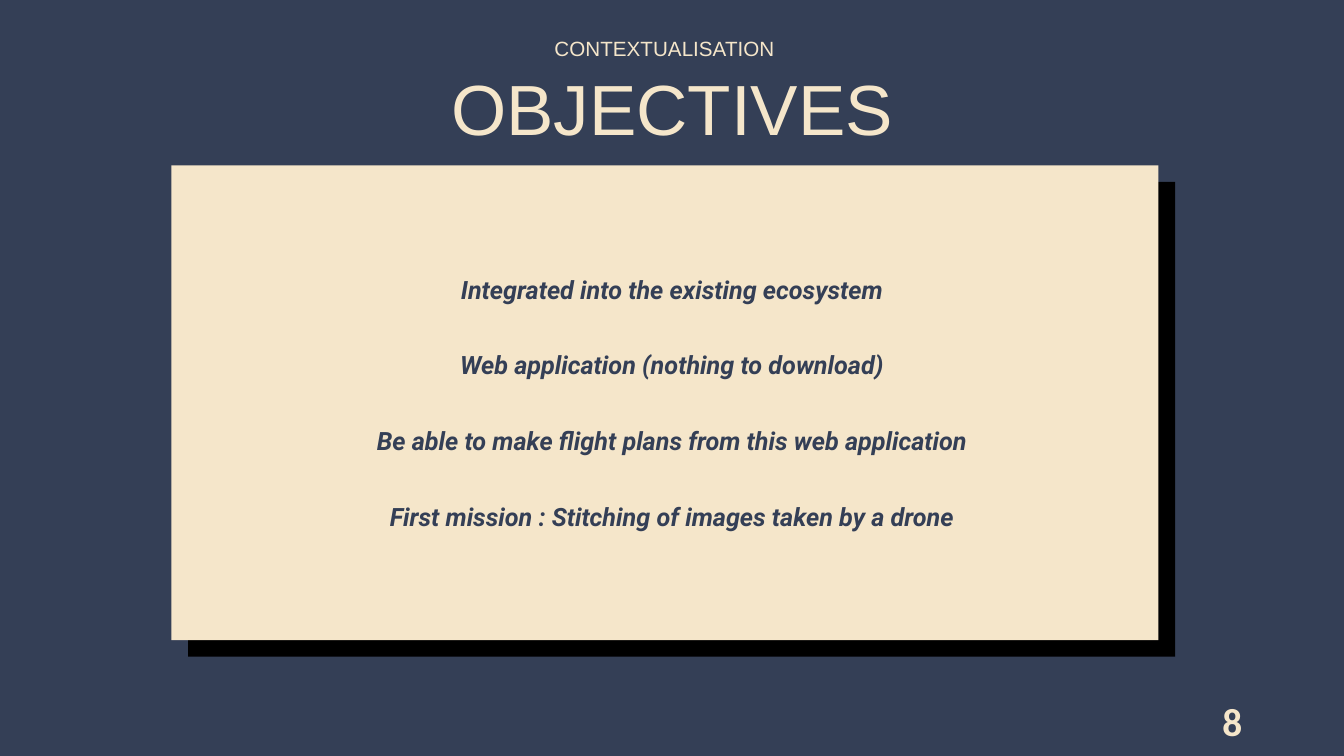
from pptx import Presentation
from pptx import util as u
from pptx.dml.color import RGBColor
from pptx.enum import shapes, text
from lxml import etree

# Theme: colours, fonts and type sizes
THEME = {
    "navy": RGBColor.from_string("343F56"),
    "cream": RGBColor.from_string("F5E6CA"),
    "black": RGBColor.from_string("000000"),
    "head": "Arial", "list": "Roboto", "number": "Calibri",
    "title": 50.7, "section": 14.7, "body": 18, "page": 28,
}
OBJECTIVES = [
    "Integrated into the existing ecosystem",
    "Web application (nothing to download)",
    "Be able to make flight plans from this web application",
    "First mission : Stitching of images taken by a drone",
]

prs = Presentation()
prs.slide_width, prs.slide_height = u.Inches(13.33), u.Inches(7.5)


def box(left, top, width, height):
    """Turn percentages of the slide's size into lengths."""
    w, h = prs.slide_width / 100, prs.slide_height / 100
    return int(left * w), int(top * h), int(width * w), int(height * h)


def write(sp, lines, font, size, color, align, spacing, inset=0, anchor="TOP"):
    """Fill a shape with paragraphs that share one format."""
    tf = sp.text_frame
    tf.word_wrap = True
    tf.auto_size = text.MSO_AUTO_SIZE.NONE
    tf.vertical_anchor = text.MSO_ANCHOR[anchor]
    tf.margin_left = tf.margin_right = u.Inches(inset)
    tf.margin_top = tf.margin_bottom = u.Inches(inset / 2)
    tf.text = "\n".join(lines)
    for p in tf.paragraphs:
        p.alignment = align
        p.line_spacing = spacing
        p.space_before = u.Pt(0)
        p.font.name, p.font.size = font, u.Pt(size)
        p.font.color.rgb = color


s = prs.slides.add_slide(prs.slide_layouts[1])
s.background.fill.solid()
s.background.fill.fore_color.rgb = THEME["navy"]
title, body = s.placeholders
CENTER, RIGHT = text.PP_ALIGN.CENTER, text.PP_ALIGN.RIGHT

# Title and section name
title.left, title.top, title.width, title.height = box(15.15, 6.67, 69.77, 11.2)
write(title, ["OBJECTIVES"], THEME["head"], THEME["title"], THEME["cream"],
      CENTER, u.Pt(70.9))
section = s.shapes.add_textbox(*box(37.66, 4.27, 23.56, 3.33))
write(section, ["CONTEXTUALISATION"], THEME["head"], THEME["section"],
      THEME["cream"], CENTER, u.Pt(20.5))

# Panel over its hard shadow
for dx, dy, color in ((1.24, 2.2, "black"), (0, 0, "cream")):
    panel = s.shapes.add_shape(shapes.MSO_SHAPE.RECTANGLE,
                               *box(12.75 + dx, 21.87 + dy, 73.44, 62.8))
    panel.shadow.inherit = False
    panel.fill.solid()
    panel.fill.fore_color.rgb = THEME[color]
    panel.line.fill.background()

# Objectives, brought in front of the panel
body.left, body.top, body.width, body.height = box(16.28, 29.6, 67.44, 45.73)
body.element.getparent().append(body.element)
write(body, OBJECTIVES, THEME["list"], THEME["body"], THEME["navy"],
      CENTER, 2.5, inset=0.1)
for p in body.text_frame.paragraphs:
    p.font.bold = p.font.italic = True
    pPr = p._p.get_or_add_pPr()
    pPr.set("marL", "0")
    pPr.set("indent", "0")
    no_bullet = etree.Element(
        "{http://schemas.openxmlformats.org/drawingml/2006/main}buNone")
    pPr.find("{*}defRPr").addprevious(no_bullet)

# Page number
number = s.shapes.add_textbox(*box(70.67, 92.67, 22.5, 5.33))
write(number, ["8"], THEME["number"], THEME["page"], THEME["cream"],
      RIGHT, 1, inset=0.1, anchor="MIDDLE")
number.text_frame.paragraphs[0].font.bold = True

prs.save("out.pptx")
